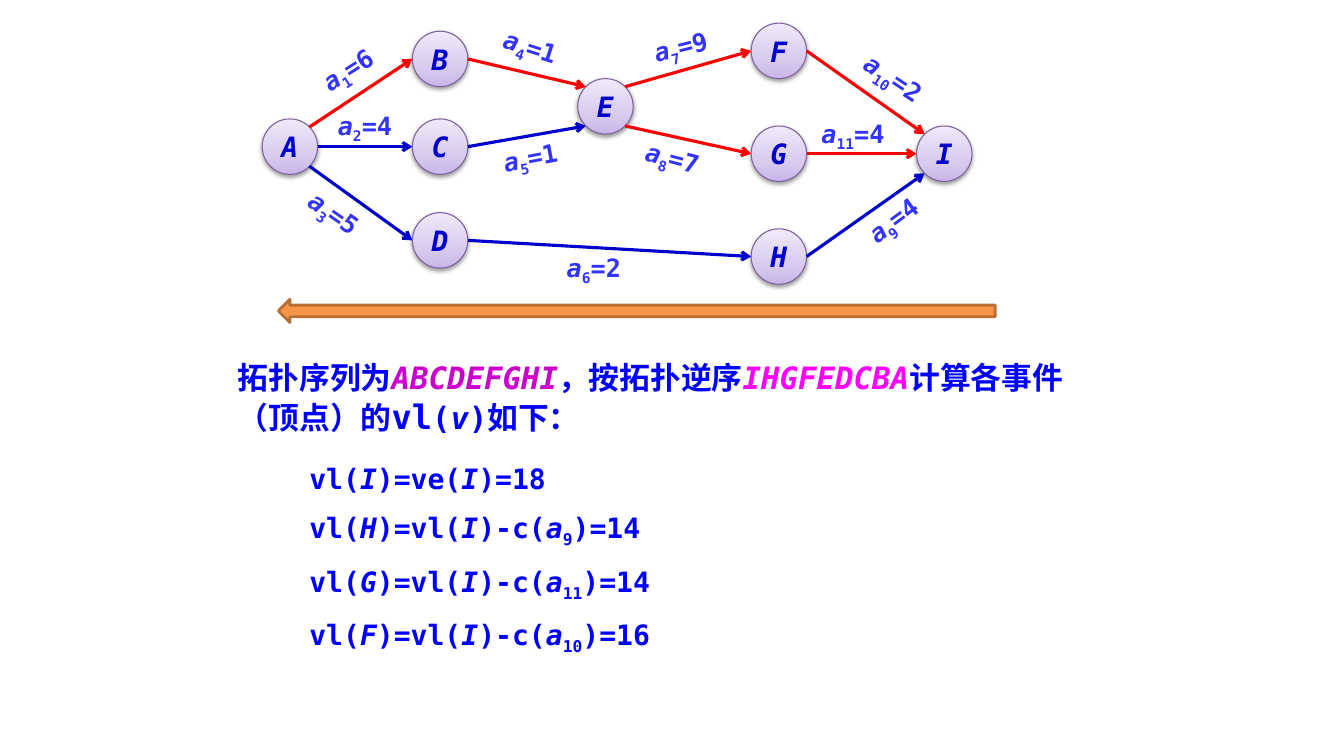
from copy import deepcopy

from lxml import etree
from pptx import Presentation
from pptx import util as u
from pptx.dml.color import RGBColor
from pptx.enum import shapes, text
from pptx.oxml import ns

COLORS = {
    "critical": "FF0000", "normal": "0000CC", "cost": "3333FF", "node": "0000CC",
    "body": "0000FF", "order": "CC00CC", "reverse": "FF00FF",
    "node_line": "7D60A0", "arrow": "F79646", "arrow_line": "B76F34",
    "shadow": "000000",
}
NODE_GRADIENT = [(0, "C9B5E8"), (0.35, "D8CBEE"), (1, "F0EAF9")]
DIAMETER = 0.55
FONT = "DejaVu Sans Mono"

# Event: left, top
EVENTS = {
    "A": (2.6, 1.18), "B": (4.09, 0.31), "C": (4.09, 1.18), "D": (4.09, 2.11),
    "E": (5.73, 0.78), "F": (7.45, 0.23), "G": (7.45, 1.25), "H": (7.45, 2.27),
    "I": (9.09, 1.25),
}
DIAGONAL = 0.5 ** 0.5
SITES = {
    "E": (1, 0), "W": (-1, 0),
    "NE": (DIAGONAL, -DIAGONAL), "SE": (DIAGONAL, DIAGONAL),
    "NW": (-DIAGONAL, -DIAGONAL), "SW": (-DIAGONAL, DIAGONAL),
}
# Start, start site, end, end site, colour, cost, label left, label top, label rotation
ACTIVITIES = [
    ("A", "NE", "B", "W", "critical", 6, 2.98, 0.54, 327.3),
    ("A", "E", "C", "W", "normal", 4, 3.15, 1.09, 0),
    ("A", "SE", "D", "W", "normal", 5, 2.84, 1.96, 35.2),
    ("B", "E", "E", "NW", "critical", 1, 4.79, 0.31, 17.8),
    ("C", "E", "E", "SW", "normal", 1, 4.79, 1.41, 349.2),
    ("D", "E", "H", "W", "normal", 2, 5.42, 2.5, 0),
    ("E", "NE", "F", "W", "critical", 9, 6.28, 0.31, 346),
    ("E", "SE", "G", "W", "critical", 7, 6.2, 1.41, 14.7),
    ("H", "E", "I", "SW", "normal", 4, 8.39, 2.03, 323.4),
    ("F", "E", "I", "NW", "critical", 2, 8.39, 0.62, 33.4),
    ("G", "E", "I", "W", "critical", 4, 7.99, 1.17, 0),
]
# Event, activity leading from it to I, latest time
LATEST_TIMES = [("H", 9, 14), ("G", 11, 14), ("F", 10, 16)]


def rgb(name):
    return RGBColor.from_string(COLORS[name])


def add_run(paragraph, words, color, size, italic=False, subscript=False):
    run = paragraph.add_run()
    run.text = words
    values = {"name": FONT, "size": u.Pt(size), "bold": True, "italic": italic}
    for attribute, value in values.items():
        setattr(run.font, attribute, value)
    run.font.color.rgb = rgb(color)
    if subscript:
        run.font._element.set("baseline", "-25000")


def add_text(slide, left, top, width, height, inset=True):
    box = slide.shapes.add_textbox(*map(u.Inches, (left, top, width, height)))
    frame = box.text_frame
    values = {"word_wrap": True, "auto_size": text.MSO_AUTO_SIZE.SHAPE_TO_FIT_TEXT}
    if not inset:
        values.update(clear_insets())
    for attribute, value in values.items():
        setattr(frame, attribute, value)
    return box


def clear_insets():
    return {f"margin_{side}": 0 for side in ("left", "top", "right", "bottom")}


def add_node_shadow(node):
    node.shadow.inherit = False
    effects = node._element.spPr.find(ns.qn("a:effectLst"))
    shadow = etree.SubElement(effects, ns.qn("a:outerShdw"), blurRad=str(u.Pt(3.1)),
                              dist=str(u.Pt(1.6)), dir="5400000", rotWithShape="0")
    color = etree.SubElement(shadow, ns.qn("a:srgbClr"), val=COLORS["shadow"])
    etree.SubElement(color, ns.qn("a:alpha"), val="38000")


def add_event(slide, name, left, top):
    node = slide.shapes.add_shape(
        shapes.MSO_SHAPE.OVAL, *map(u.Inches, (left, top, DIAMETER, DIAMETER)))
    node.fill.gradient()
    node.fill.gradient_angle = 90
    stop_list = node._element.spPr.find(".//" + ns.qn("a:gsLst"))
    stop_list.append(deepcopy(stop_list[0]))
    for stop, (position, color) in zip(node.fill.gradient_stops, NODE_GRADIENT):
        stop.position = position
        stop.color.rgb = RGBColor.from_string(color)
    node.line.color.rgb = rgb("node_line")
    node.line.width = u.Pt(0.75)
    add_node_shadow(node)
    frame = node.text_frame
    values = {"vertical_anchor": text.MSO_ANCHOR.MIDDLE, **clear_insets()}
    for attribute, value in values.items():
        setattr(frame, attribute, value)
    frame.paragraphs[0].alignment = text.PP_ALIGN.CENTER
    add_run(frame.paragraphs[0], name, "node", 20, italic=True)


def site_point(event, site):
    """Return the point where an arrow touches the circle of an event."""
    return [u.Inches(corner + DIAMETER / 2 * (1 + offset))
            for corner, offset in zip(EVENTS[event], SITES[site])]


def add_arrow(slide, start, end, color):
    arrow = slide.shapes.add_connector(shapes.MSO_CONNECTOR.STRAIGHT, *start, *end)
    arrow.line.color.rgb = rgb(color)
    arrow.line.width = u.Pt(2.25)
    properties = arrow._element.spPr
    etree.SubElement(properties.find(ns.qn("a:ln")), ns.qn("a:tailEnd"), type="arrow")
    etree.SubElement(properties, ns.qn("a:effectLst"))


def add_cost(slide, number, cost, left, top, rotation):
    label = add_text(slide, left, top, 0.94, 0.31, inset=False)
    label.rotation = rotation
    paragraph = label.text_frame.paragraphs[0]
    paragraph.alignment = text.PP_ALIGN.CENTER
    add_run(paragraph, "a", "cost", 18, italic=True)
    add_run(paragraph, str(number), "cost", 18, subscript=True)
    add_run(paragraph, f"={cost}", "cost", 18)


def add_reverse_arrow(slide):
    arrow = slide.shapes.add_shape(
        shapes.MSO_SHAPE.LEFT_ARROW, *map(u.Inches, (2.76, 2.97, 7.11, 0.23)))
    arrow.shadow.inherit = False
    arrow.fill.solid()
    arrow.fill.fore_color.rgb = rgb("arrow")
    arrow.line.color.rgb = rgb("arrow_line")
    arrow.line.width = u.Pt(2)


def add_explanation(slide):
    paragraph = add_text(slide, 2.26, 3.51, 8.82, 0.88).text_frame.paragraphs[0]
    for words, color, size, italic in [
        ("拓扑序列为", "body", 22, False),
        ("ABCDEFGHI", "order", 22, True),
        ("，按拓扑逆序", "body", 22, False),
        ("IHGFEDCBA", "reverse", 22, True),
        ("计算各事件（顶点）的", "body", 22, False),
        ("vl", "body", 24, False),
        ("(", "body", 22, False),
        ("v", "body", 22, True),
        (")如下：", "body", 22, False),
    ]:
        add_run(paragraph, words, color, size, italic)


def add_latest_times(slide):
    frame = add_text(slide, 2.97, 4.53, 5.83, 1.95).text_frame
    formulas = [[("vl(",), ("I", True), (")=ve(",), ("I", True), (")=18",)]]
    for event, activity, time in LATEST_TIMES:
        formulas.append([
            ("vl(",), (event, True), (")=vl(",), ("I", True), (")-c(",),
            ("a", True), (str(activity), False, True), (f")={time}",)])
    for index, formula in enumerate(formulas):
        paragraph = frame.add_paragraph() if index else frame.paragraphs[0]
        paragraph.alignment = text.PP_ALIGN.JUSTIFY
        if index:
            paragraph.space_before = u.Pt(11)
        for words, *style in formula:
            add_run(paragraph, words, "body", 20, *style)


def main():
    presentation = Presentation()
    presentation.slide_width = u.Inches(13.33)
    presentation.slide_height = u.Inches(7.5)
    slide = presentation.slides.add_slide(presentation.slide_layouts[6])
    add_latest_times(slide)
    add_explanation(slide)
    for name, (left, top) in EVENTS.items():
        add_event(slide, name, left, top)
    for number, activity in enumerate(ACTIVITIES, start=1):
        start, start_site, end, end_site, color, *cost_label = activity
        add_arrow(slide, site_point(start, start_site), site_point(end, end_site), color)
        add_cost(slide, number, *cost_label)
    add_reverse_arrow(slide)
    presentation.save("out.pptx")


if __name__ == "__main__":
    main()
